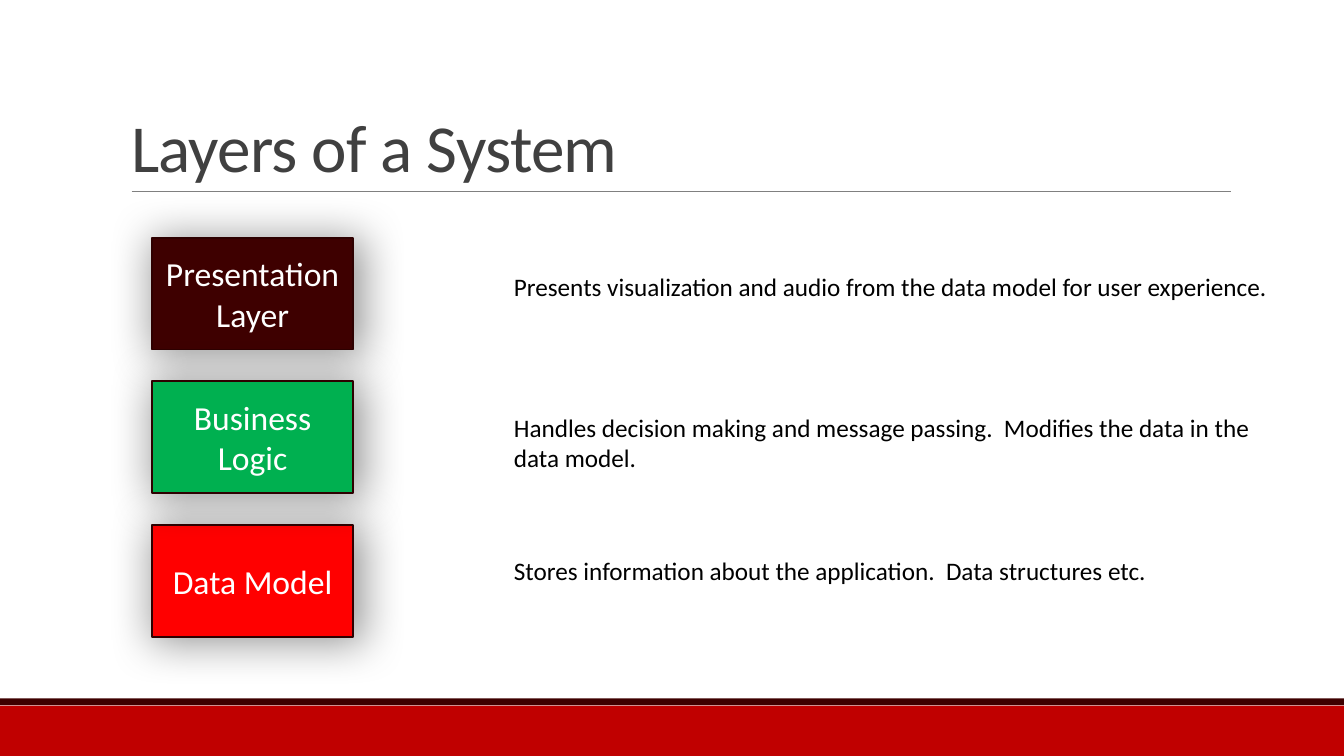
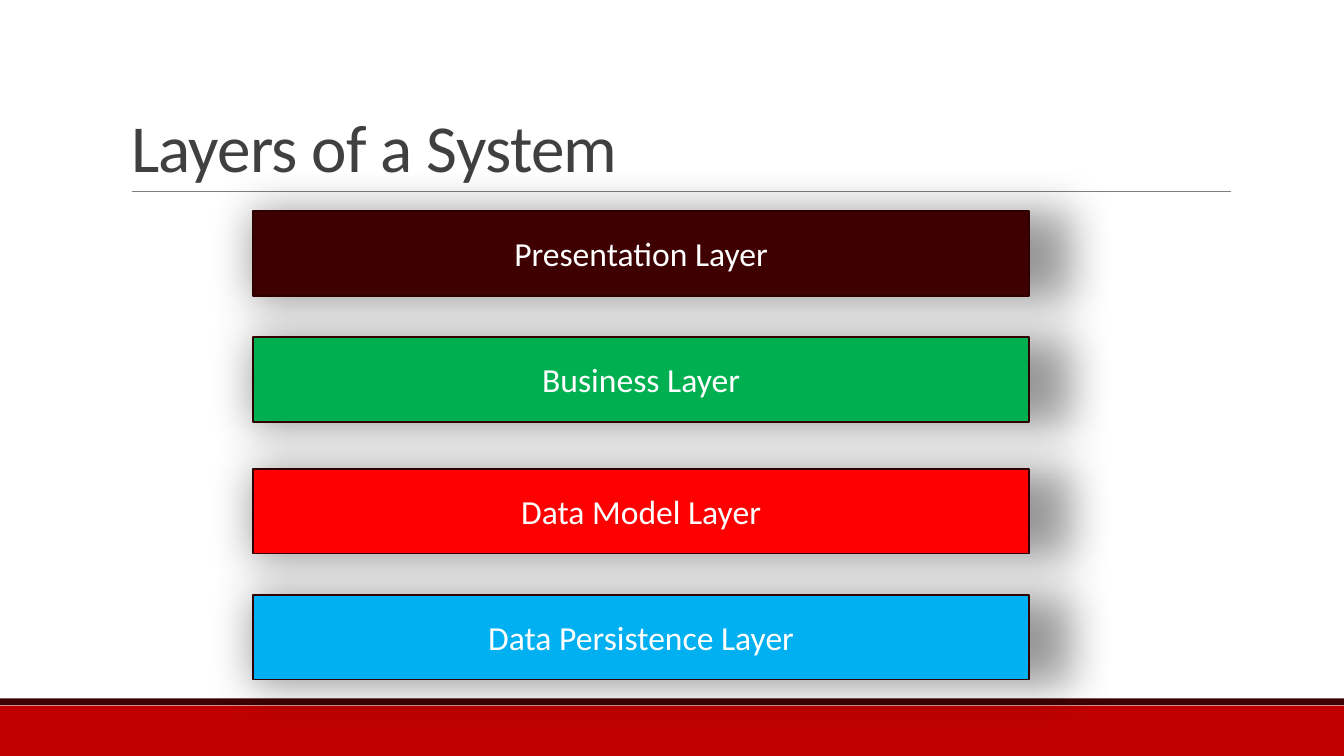
from dataclasses import dataclass

from lxml import etree
from pptx import Presentation
from pptx.dml.color import RGBColor
from pptx.enum import shapes, text
from pptx.oxml.ns import qn
from pptx.util import Pt


@dataclass(frozen=True)
class Theme:
    font: str = "Calibri"
    title_size: int = 48
    box_size: int = 24
    note_size: int = 18
    title: str = "404040"
    rule: str = "808080"
    outline: str = "2E0000"
    white: str = "FFFFFF"
    black: str = "000000"
    crimson: str = "C00000"
    maroon: str = "3E0000"
    green: str = "00B050"
    red: str = "FF0000"
    blue: str = "00B0F0"


T = Theme()


def style(p, size, color, align):
    p.alignment = align
    for r in p.runs:
        r.font.name = T.font
        r.font.size = Pt(size)
        r.font.color.rgb = RGBColor.from_string(color)


def add_rect(s, left, top, width, height, fill):
    sp = s.shapes.add_shape(shapes.MSO_SHAPE.RECTANGLE,
                            Pt(left), Pt(top), Pt(width), Pt(height))
    sp.fill.solid()
    sp.fill.fore_color.rgb = RGBColor.from_string(fill)
    sp.line.fill.background()
    sp.shadow.inherit = False
    return sp


prs = Presentation()
prs.slide_width, prs.slide_height = Pt(960), Pt(540)

# Layout: title position, footer bands and rule
layout = prs.slide_layouts[5]
for ph in list(layout.placeholders)[1:]:
    layout.shapes.element.remove(ph.element)
title = layout.placeholders[0]
title.left, title.top, title.width, title.height = Pt(86.4), Pt(22.5), Pt(792), Pt(114.2)
title.text_frame.vertical_anchor = text.MSO_ANCHOR.BOTTOM
title.text_frame.auto_size = text.MSO_AUTO_SIZE.NONE

layers_slide, stack_slide = [prs.slides.add_slide(layout) for _ in range(2)]

rule = layers_slide.shapes.add_connector(shapes.MSO_CONNECTOR.STRAIGHT,
                                         Pt(94), Pt(136.8), Pt(879), Pt(136.8))
rule.line.color.rgb = RGBColor.from_string(T.rule)
rule.line.width = Pt(0.5)
etree.SubElement(rule.element.spPr, qn("a:effectLst"))
bands = [add_rect(layers_slide, 0, 504, 960, 36, T.crimson),
         add_rect(layers_slide, 0, 498.8, 960, 5, T.maroon)]
for sp in bands + [rule]:
    layout.shapes.element.append(sp.element)

# Layer boxes: left, width, height, then (label, top, fill) from back to front
stacks = [
    (layers_slide, 108.7, 143.5, 80, [
        ("Presentation Layer", 169.8, T.maroon),
        ("Data Model", 375.2, T.red),
        ("Business Logic", 272.3, T.green)]),
    (stack_slide, 180.7, 554.5, 60.4, [
        ("Presentation Layer", 150.8, T.maroon),
        ("Data Model Layer", 335, T.red),
        ("Business Layer", 240.8, T.green),
        ("Data Persistence Layer", 425, T.blue)]),
]
for s, left, width, height, boxes in stacks:
    tf = s.shapes.title.text_frame
    tf.text = "Layers of a System"
    p = tf.paragraphs[0]
    p.line_spacing = 0.85
    style(p, T.title_size, T.title, text.PP_ALIGN.LEFT)
    p.runs[0].font._element.set("spc", "-50")

    for label, top, fill in boxes:
        sp = add_rect(s, left, top, width, height, fill)
        sp.line.color.rgb = RGBColor.from_string(T.outline)
        sp.line.width = Pt(1.25)
        shadow = etree.SubElement(
            sp.element.spPr.find(qn("a:effectLst")), qn("a:outerShdw"),
            blurRad=str(Pt(31)), dist="0", dir="0",
            sx="105000", sy="105000", algn="tl", rotWithShape="0")
        color = etree.SubElement(shadow, qn("a:srgbClr"), val=T.black)
        etree.SubElement(color, qn("a:alpha"), val="40000")
        tf = sp.text_frame
        tf.text = label
        tf.word_wrap = True
        tf.vertical_anchor = text.MSO_ANCHOR.MIDDLE
        style(tf.paragraphs[0], T.box_size, T.white, text.PP_ALIGN.CENTER)

notes = [
    (190.3, 29, "Presents visualization and audio from the data model for user experience."),
    (290.7, 51, "Handles decision making and message passing.  "
                "Modifies the data in the data model."),
    (393.3, 29, "Stores information about the application.  Data structures etc."),
]
for top, height, note in notes:
    tf = layers_slide.shapes.add_textbox(Pt(360), Pt(top), Pt(556), Pt(height)).text_frame
    tf.text = note
    tf.word_wrap = True
    style(tf.paragraphs[0], T.note_size, T.black, text.PP_ALIGN.LEFT)

prs.save("out.pptx")
